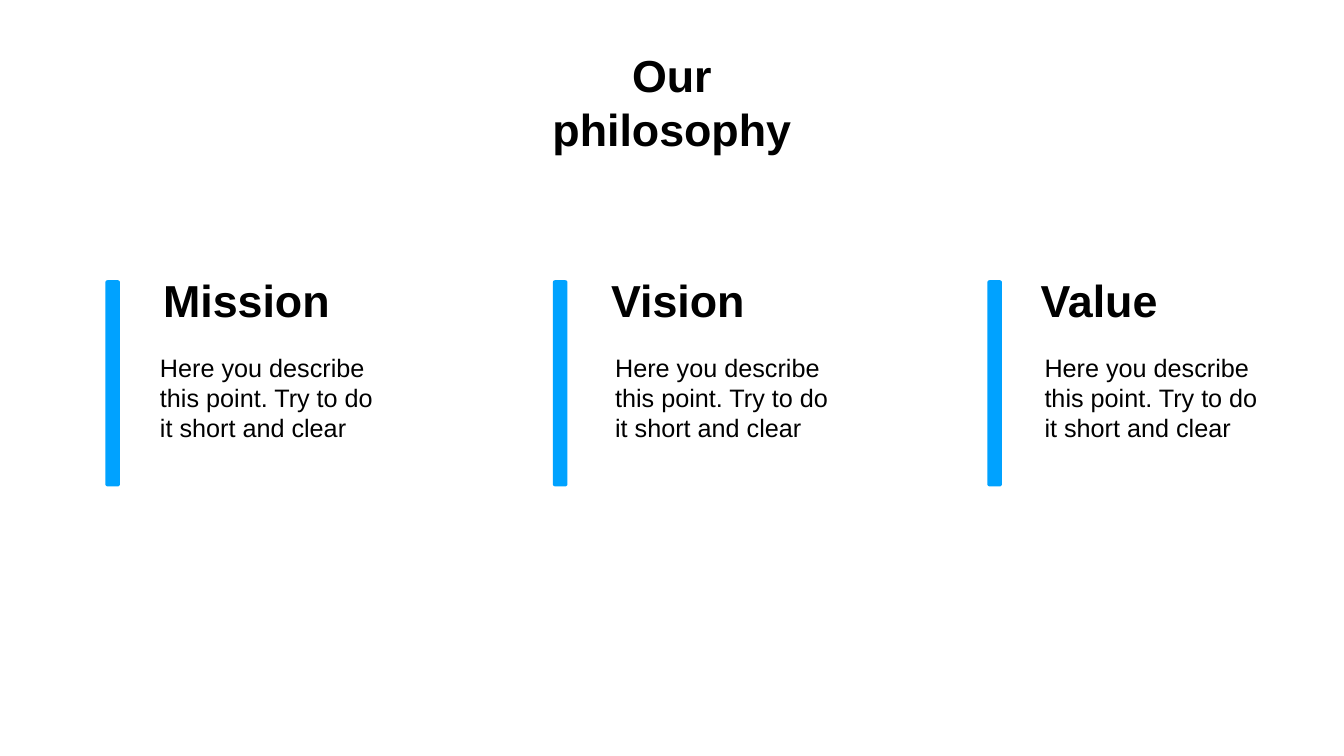
"""Build the "Our philosophy" slide with three statement columns."""
import dataclasses

import pptx
import pptx.dml.color
import pptx.enum.shapes
import pptx.enum.text
import pptx.util

Pt = pptx.util.Pt
Color = pptx.dml.color.RGBColor
Align = pptx.enum.text.PP_ALIGN

TITLE = "Our philosophy"
DESCRIPTION = "Here you describe this point. Try to do it short and clear"
COLUMNS = [
    {"heading": "Mission", "align": Align.CENTER, "bar_left": 13.7,
     "heading_left": 228.2, "body_left": 224.6, "body_width": 329},
    {"heading": "Vision", "align": Align.LEFT, "bar_left": 653,
     "heading_left": 869, "body_left": 874.8, "body_width": 336.2},
    {"heading": "Value", "align": Align.LEFT, "bar_left": 1273.7,
     "heading_left": 1482.5, "body_left": 1488.2, "body_width": 336.2},
]


@dataclasses.dataclass(frozen=True)
class Theme:
    font: str = "Arial"
    heading_size: int = 64
    body_size: int = 36
    text: Color = Color(0x00, 0x00, 0x00)
    accent: Color = Color(0x00, 0xA2, 0xFF)
    inset: int = 4


THEME = Theme()


def place(shape, left, top, width, height):
    shape.left, shape.top = Pt(left), Pt(top)
    shape.width, shape.height = Pt(width), Pt(height)


def write_text(shape, text, size, bold=False, align=Align.LEFT, wrap=True):
    frame = shape.text_frame
    frame.margin_left = frame.margin_right = Pt(THEME.inset)
    frame.margin_top = frame.margin_bottom = Pt(THEME.inset)
    frame.vertical_anchor = pptx.enum.text.MSO_ANCHOR.MIDDLE
    frame.word_wrap = wrap
    frame.auto_size = pptx.enum.text.MSO_AUTO_SIZE.SHAPE_TO_FIT_TEXT
    frame.text = text
    paragraph = frame.paragraphs[0]
    paragraph.alignment = align
    font = paragraph.font
    font.name, font.size, font.bold = THEME.font, Pt(size), bold
    font.color.rgb = THEME.text


def add_text(slide, box, text, size, bold=False, align=Align.LEFT):
    shape = slide.shapes.add_textbox(*map(Pt, box))
    write_text(shape, text, size, bold, align)


def add_bar(slide, left):
    bar = slide.shapes.add_shape(
        pptx.enum.shapes.MSO_SHAPE.ROUNDED_RECTANGLE,
        Pt(left), Pt(537.1), Pt(294.5), Pt(20.9))
    bar.rotation = 270
    bar.adjustments[0] = 0.15
    bar.shadow.inherit = False
    bar.fill.solid()
    bar.fill.fore_color.rgb = THEME.accent
    bar.line.fill.background()


def main():
    presentation = pptx.Presentation()
    presentation.slide_width, presentation.slide_height = Pt(1920), Pt(1080)
    slide = presentation.slides.add_slide(presentation.slide_layouts[5])

    title = slide.shapes.title
    place(title, 723.6, 103, 472.3, 84.2)
    write_text(title, TITLE, THEME.heading_size, True, Align.CENTER, wrap=False)

    for column in COLUMNS:
        add_bar(slide, column["bar_left"])
        add_text(slide, (column["heading_left"], 385.2, 247.7, 85),
                 column["heading"], THEME.heading_size, True, column["align"])
        add_text(slide, (column["body_left"], 499.7, column["body_width"], 136.8),
                 DESCRIPTION, THEME.body_size)

    presentation.save("out.pptx")


if __name__ == "__main__":
    main()
